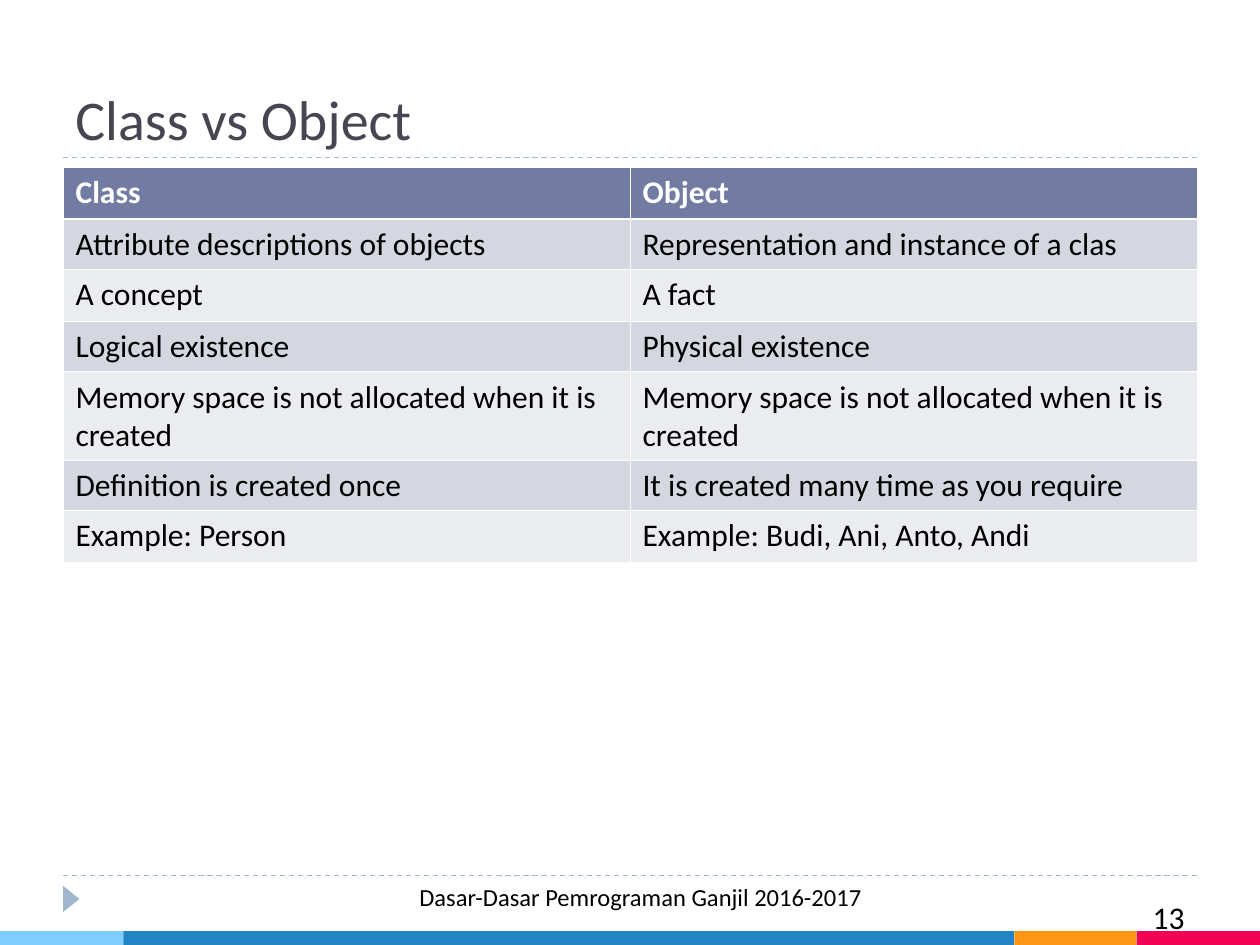
from dataclasses import dataclass

from lxml import etree
from pptx import Presentation
from pptx.dml.color import RGBColor
from pptx.enum.dml import MSO_LINE
from pptx.enum.shapes import MSO_CONNECTOR, MSO_SHAPE
from pptx.enum.text import MSO_ANCHOR, PP_ALIGN
from pptx.oxml.ns import qn
from pptx.util import Inches, Pt

STRAIGHT = MSO_CONNECTOR.STRAIGHT
DASH = MSO_LINE.DASH
RECTANGLE, TRIANGLE = MSO_SHAPE.RECTANGLE, MSO_SHAPE.ISOSCELES_TRIANGLE
TOP, BOTTOM = MSO_ANCHOR.TOP, MSO_ANCHOR.BOTTOM
LEFT, CENTER, RIGHT = PP_ALIGN.LEFT, PP_ALIGN.CENTER, PP_ALIGN.RIGHT


@dataclass(frozen=True)
class Theme:
    font: str = "Calibri"
    title_size: int = 32
    body_size: int = 18
    footer_size: int = 14
    title: str = "464653"
    text: str = "000000"
    white: str = "FFFFFF"
    accent: str = "9FB8CD"
    header: str = "727CA3"
    bands: tuple[str, str] = ("D5D7E0", "EBECF0")
    rule_width: float = 0.75
    border: float = 0.45
    header_border: float = 1.47


@dataclass(frozen=True)
class Box:
    left: float
    top: float
    width: float
    height: float

    def emu(self) -> tuple[int, ...]:
        return tuple(Inches(v) for v in (self.left, self.top, self.width, self.height))


@dataclass(frozen=True)
class Label:
    text: str
    box: Box
    size: int
    color: str
    align: PP_ALIGN = LEFT
    anchor: MSO_ANCHOR = TOP


@dataclass(frozen=True)
class Segment:
    width: float
    color: str


THEME = Theme()
MARGIN, CONTENT_WIDTH = 0.5, 9
RULES = (1.25, 6.95)
STRIP_TOP, STRIP_HEIGHT = 7.39, 0.11
STRIP = (
    Segment(0.98, "7ECEFD"),
    Segment(7.07, "2185C5"),
    Segment(0.97, "FF9715"),
    Segment(0.98, "F20253"),
)
LABELS = (
    Label("Class vs Object", Box(MARGIN, 0.17, CONTENT_WIDTH, 1.08),
          THEME.title_size, THEME.title, anchor=BOTTOM),
    Label("Dasar-Dasar Pemrograman Ganjil 2016-2017", Box(3.17, 6.95, 3.83, 0.4),
          THEME.footer_size, THEME.text, CENTER),
    Label("13", Box(7.33, 7.08, 2.17, 0.4), THEME.body_size, THEME.text, RIGHT),
)
TABLE_TOP = 1.33
ROW_HEIGHTS = (0.41, 0.4, 0.41, 0.4, 0.7, 0.4, 0.41)
ROWS = (
    ("Class", "Object"),
    ("Attribute descriptions of objects", "Representation and instance of a clas"),
    ("A concept", "A fact"),
    ("Logical existence", "Physical existence"),
    ("Memory space is not allocated when it is created",
     "Memory space is not allocated when it is created"),
    ("Definition is created once", "It is created many time as you require"),
    ("Example: Person", "Example: Budi, Ani, Anto, Andi"),
)


def style_text(tf, size: int, color: str, align: PP_ALIGN = LEFT, bold: bool = False) -> None:
    for p in tf.paragraphs:
        p.alignment = align
        for r in p.runs:
            r.font.name = THEME.font
            r.font.size = Pt(size)
            r.font.bold = bold
            r.font.color.rgb = RGBColor.from_string(color)


def add_label(s, label: Label) -> None:
    tf = s.shapes.add_textbox(*label.box.emu()).text_frame
    tf.word_wrap = True
    tf.vertical_anchor = label.anchor
    tf.text = label.text
    style_text(tf, label.size, label.color, label.align)


def add_filled(s, kind: MSO_SHAPE, box: Box, color: str, rotation: float = 0) -> None:
    sp = s.shapes.add_shape(kind, *box.emu())
    sp.rotation = rotation
    sp.shadow.inherit = False
    sp.fill.solid()
    sp.fill.fore_color.rgb = RGBColor.from_string(color)
    sp.line.fill.background()


def add_rule(s, y: float) -> None:
    line = s.shapes.add_connector(STRAIGHT, Inches(MARGIN), Inches(y),
                                  Inches(MARGIN + CONTENT_WIDTH), Inches(y))
    line.line.color.rgb = RGBColor.from_string(THEME.accent)
    line.line.width = Pt(THEME.rule_width)
    line.line.dash_style = DASH
    etree.SubElement(line._element.spPr, qn("a:effectLst"))


def set_borders(cell, top: float, bottom: float) -> None:
    tc_pr = cell._tc.get_or_add_tcPr()
    widths = {"L": THEME.border, "R": THEME.border, "T": top, "B": bottom}
    for side, width in widths.items():
        ln = etree.SubElement(tc_pr, qn(f"a:ln{side}"), w=str(Pt(width)))
        fill = etree.SubElement(ln, qn("a:solidFill"))
        etree.SubElement(fill, qn("a:srgbClr"), val=THEME.white)


def add_comparison(s) -> None:
    columns = len(ROWS[0])
    box = Box(MARGIN, TABLE_TOP, CONTENT_WIDTH, sum(ROW_HEIGHTS))
    table = s.shapes.add_table(len(ROWS), columns, *box.emu()).table
    for column in table.columns:
        column.width = Inches(CONTENT_WIDTH / columns)
    for i, (texts, height) in enumerate(zip(ROWS, ROW_HEIGHTS)):
        table.rows[i].height = Inches(height)
        is_header = i == 0
        fill = THEME.header if is_header else THEME.bands[(i - 1) % 2]
        color = THEME.white if is_header else THEME.text
        top = THEME.header_border if i == 1 else THEME.border
        bottom = THEME.header_border if is_header else THEME.border
        for cell, text in zip(table.rows[i].cells, texts):
            set_borders(cell, top, bottom)
            cell.fill.solid()
            cell.fill.fore_color.rgb = RGBColor.from_string(fill)
            cell.text_frame.text = text
            style_text(cell.text_frame, THEME.body_size, color, bold=is_header)


def main() -> None:
    prs = Presentation()
    prs.slide_width, prs.slide_height = Inches(10), Inches(7.5)
    s = prs.slides.add_slide(prs.slide_layouts[6])

    # Dashed rules and footer marker
    for y in RULES:
        add_rule(s, y)
    add_filled(s, TRIANGLE, Box(0.46, 7.07, 0.21, 0.13), THEME.accent, rotation=90)

    # Colour strip along the bottom edge
    left = 0.0
    for segment in STRIP:
        add_filled(s, RECTANGLE, Box(left, STRIP_TOP, segment.width, STRIP_HEIGHT), segment.color)
        left += segment.width

    # Title, footer and page number
    for label in LABELS:
        add_label(s, label)

    # Comparison table
    add_comparison(s)

    prs.save("out.pptx")


if __name__ == "__main__":
    main()
